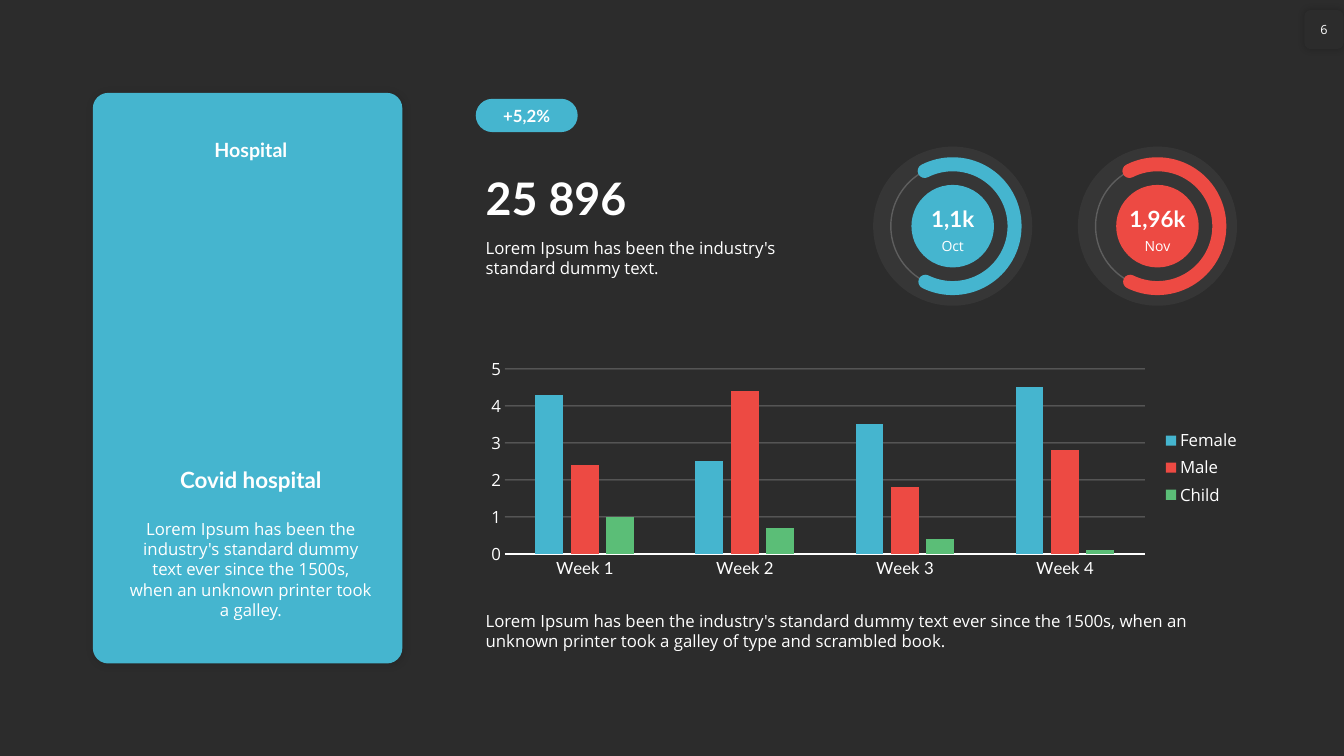
import lxml.etree
import pptx
import pptx.chart.data
import pptx.dml.color
import pptx.enum.chart
import pptx.enum.shapes
import pptx.enum.text
import pptx.oxml.ns
import pptx.util

Cm, Pt = pptx.util.Cm, pptx.util.Pt
Shape = pptx.enum.shapes.MSO_SHAPE
Align = pptx.enum.text.PP_ALIGN
Anchor = pptx.enum.text.MSO_ANCHOR
AutoSize = pptx.enum.text.MSO_AUTO_SIZE
Tick = pptx.enum.chart.XL_TICK_MARK
qn = pptx.oxml.ns.qn

COLORS = {"back": "2C2C2C", "white": "FFFFFF", "black": "000000",
          "blue": "45B5CF", "red": "ED4A43", "green": "5BBE77"}
HEADING = {"name": "Lato", "bold": True}
BODY = {"name": "Open Sans", "bold": False}


def rgb(name):
    return pptx.dml.color.RGBColor.from_string(COLORS[name])


def assign(target, values):
    for key, value in values.items():
        setattr(target, key, value)


def set_alpha(element, percent):
    for color in element.iter(qn("a:srgbClr")):
        lxml.etree.SubElement(color, qn("a:alpha"), val=str(percent * 1000))


class SlideBuilder:
    def __init__(self, page):
        self.page = page
        fill = page.background.fill
        fill.solid()
        fill.fore_color.rgb = rgb("back")

    def font(self, font, size, style=BODY):
        assign(font, {"size": Pt(size), **style})
        font.color.rgb = rgb("white")

    def fill_text(self, box, text, size, style, align, frame_format):
        frame = box.text_frame
        assign(frame, frame_format)
        para = frame.paragraphs[0]
        para.alignment = align
        span = para.add_run()
        span.text = text
        self.font(span.font, size, style)

    def text(self, area, text, size, style=BODY, align=Align.LEFT, anchor=Anchor.TOP):
        box = self.page.shapes.add_textbox(*map(Cm, area))
        self.fill_text(box, text, size, style, align, {
            "word_wrap": True, "auto_size": AutoSize.SHAPE_TO_FIT_TEXT,
            "vertical_anchor": anchor})

    def shape(self, kind, area, fill=None, line=None, width=1, alpha=None, adjust=()):
        shape = self.page.shapes.add_shape(kind, *map(Cm, area))
        shape.shadow.inherit = False
        for index, value in enumerate(adjust):
            shape.adjustments[index] = value
        if fill:
            shape.fill.solid()
            shape.fill.fore_color.rgb = rgb(fill)
        else:
            shape.fill.background()
        if line:
            shape.line.color.rgb = rgb(line)
            shape.line.width = Pt(width)
        else:
            shape.line.fill.background()
        if alpha:
            set_alpha(shape._element.spPr, alpha)
        return shape

    def label(self, shape, text, size, style, wrap=True):
        self.fill_text(shape, text, size, style, Align.CENTER, {
            "margin_left": 0, "margin_right": 0, "margin_top": 0,
            "margin_bottom": 0, "word_wrap": wrap, "vertical_anchor": Anchor.MIDDLE})

    def shadow(self, shape, alpha, blur, distance):
        effects = shape._element.spPr.find(qn("a:effectLst"))
        outer = lxml.etree.SubElement(
            effects, qn("a:outerShdw"), blurRad=str(int(Pt(blur))),
            dist=str(int(Pt(distance))), dir="2700000", algn="tl", rotWithShape="0")
        lxml.etree.SubElement(outer, qn("a:srgbClr"), val=COLORS["black"])
        set_alpha(outer, alpha)

    def gauge(self, center_x, color, value, month):
        center_y = 5.7

        def circle(size):
            return center_x - size / 2, center_y - size / 2, size, size

        self.shape(Shape.OVAL, circle(4.01), fill="white", alpha=5)
        self.shape(Shape.OVAL, circle(3.12), line="white", alpha=20)
        arc = self.shape(Shape.ARC, circle(3.12), line=color, width=10,
                         adjust=(145.85, 69.71))
        arc._element.spPr.find(qn("a:ln")).set("cap", "rnd")
        self.shape(Shape.OVAL, circle(2.08), fill=color)
        left = center_x - 1.04
        self.text((left, 5.03, 2.08, 0.94), value, 16, HEADING, Align.CENTER, Anchor.BOTTOM)
        self.text((left, 5.87, 2.08, 0.69), month, 10, BODY, Align.CENTER)

    def column_chart(self, area, categories, series):
        data = pptx.chart.data.CategoryChartData()
        data.categories = categories
        for name, (color, values) in series.items():
            data.add_series(name, values)
        chart = self.page.shapes.add_chart(
            pptx.enum.chart.XL_CHART_TYPE.COLUMN_CLUSTERED, *map(Cm, area), data).chart
        assign(chart, {"has_title": False, "has_legend": True})
        self.font(chart.font, 10)
        assign(chart.legend, {"include_in_layout": False,
                              "position": pptx.enum.chart.XL_LEGEND_POSITION.RIGHT})
        self.font(chart.legend.font, 12)
        plot = chart.plots[0]
        assign(plot, {"gap_width": 219, "overlap": -27, "vary_by_categories": False})
        for bars, (color, values) in zip(plot.series, series.values()):
            bars.format.fill.solid()
            bars.format.fill.fore_color.rgb = rgb(color)

        # Axes and grid
        across, upright = chart.category_axis, chart.value_axis
        for axis, name in ((across, "Lato"), (upright, "Open Sans")):
            assign(axis, {"major_tick_mark": Tick.NONE, "minor_tick_mark": Tick.NONE})
            self.font(axis.tick_labels.font, 12, {"name": name, "bold": False})
        upright.format.line.fill.background()
        upright.has_major_gridlines = True
        for line in (across.format.line, upright.major_gridlines.format.line):
            line.color.rgb = rgb("white")
            line.width = Pt(0.75)
        set_alpha(upright._element.find(qn("c:majorGridlines")), 30)


def main():
    deck = pptx.Presentation()
    assign(deck, {"slide_width": Cm(33.87), "slide_height": Cm(19.05)})
    builder = SlideBuilder(deck.slides.add_slide(deck.slide_layouts[6]))
    column = 11.99

    # Hospital card
    card = builder.shape(Shape.ROUNDED_RECTANGLE, (2.34, 2.34, 7.8, 14.38),
                         fill="blue", adjust=(0.05,))
    builder.shadow(card, 15, 6, 1)

    # Page number
    number = builder.shape(Shape.ROUNDED_RECTANGLE, (32.87, 0.25, 0.99, 0.99), fill="back")
    builder.shadow(number, 20, 5, 0)
    builder.label(number, "6", 9, BODY, wrap=False)

    # Card text
    builder.text((3, 3.33, 6.65, 0.86), "Hospital", 14, HEADING, Align.CENTER, Anchor.BOTTOM)
    builder.text((3, 11.61, 6.65, 0.94), "Covid hospital", 16, HEADING, Align.CENTER)
    builder.text((3, 12.95, 6.65, 2.31),
                 "Lorem Ipsum has been the industry's standard dummy text ever since "
                 "the 1500s, when an unknown printer took a galley.", 12, BODY, Align.CENTER)

    # Key figure
    badge = builder.shape(Shape.ROUNDED_RECTANGLE, (column, 2.49, 2.57, 0.84),
                          fill="blue", adjust=(0.5,))
    builder.label(badge, "+5,2%", 12, HEADING)
    builder.text((column, 4.14, 8.53, 1.63), "25 896", 32, HEADING, anchor=Anchor.BOTTOM)
    builder.text((column, 5.87, 8.53, 1.27),
                 "Lorem Ipsum has been the industry's standard dummy text.", 12)

    # Monthly gauges
    builder.gauge(24.01, "blue", "1,1k", "Oct")
    builder.gauge(29.17, "red", "1,96k", "Nov")

    # Weekly chart and its caption
    builder.column_chart((column, 8.89, 19.53, 5.79), [f"Week {n}" for n in range(1, 5)], {
        "Female": ("blue", (4.3, 2.5, 3.5, 4.5)),
        "Male": ("red", (2.4, 4.4, 1.8, 2.8)),
        "Child": ("green", (1, 0.7, 0.4, 0.1))})
    builder.text((column, 15.27, 19.56, 1.27),
                 "Lorem Ipsum has been the industry's standard dummy text ever since the 1500s, "
                 "when an unknown printer took a galley of type and scrambled book.", 12)

    deck.save("out.pptx")


if __name__ == "__main__":
    main()
